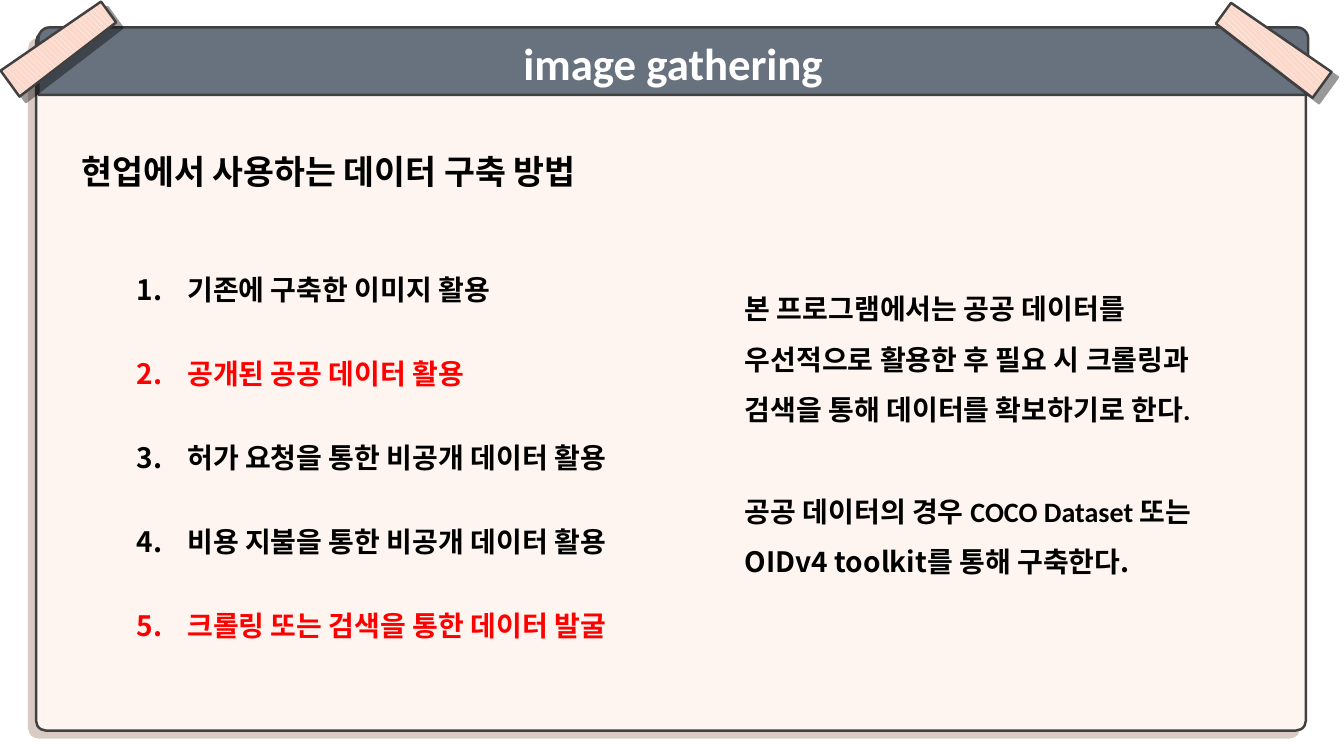
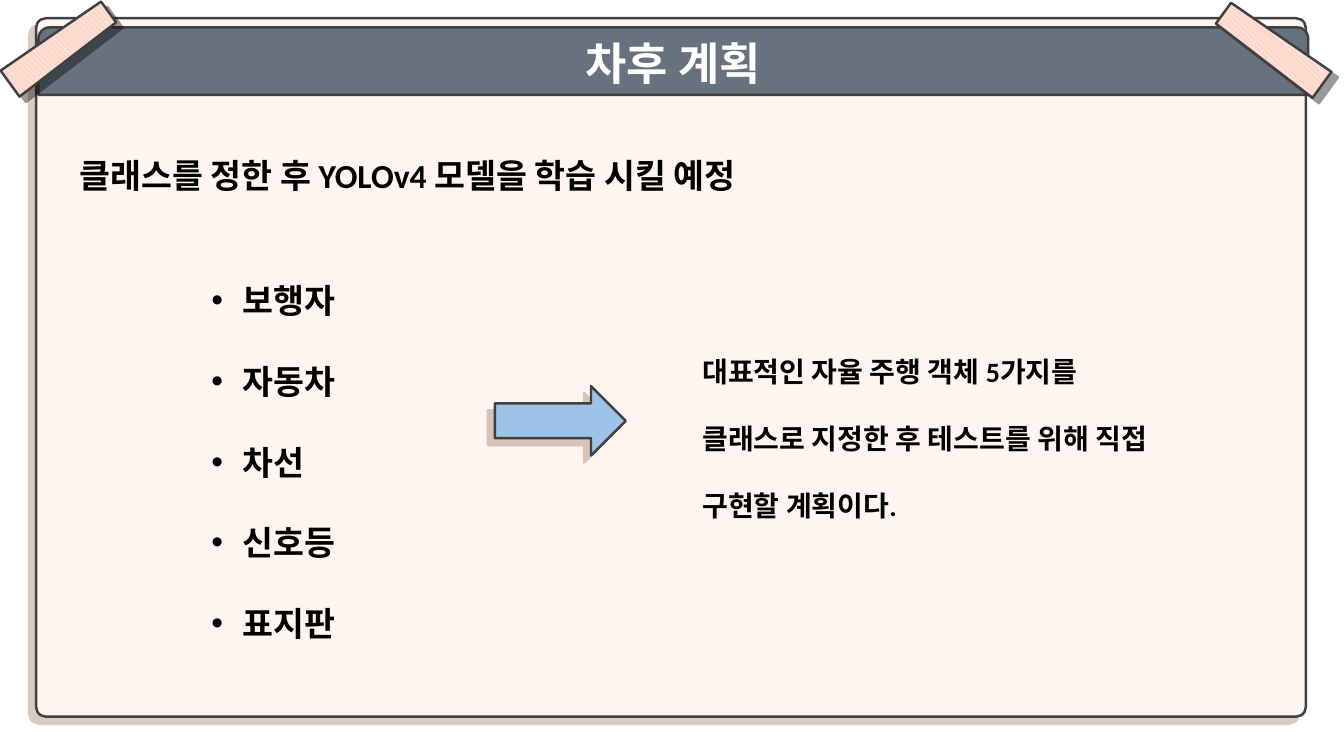
from pptx import Presentation
from pptx import util as u
from pptx.dml.color import RGBColor
from pptx.enum import dml, shapes, text
from pptx.oxml import parse_xml
from pptx.oxml.ns import nsdecls

CREAM = RGBColor(0xFE, 0xF5, 0xF0)
SLATE = RGBColor(0x68, 0x72, 0x7E)
OUTLINE = RGBColor(0x40, 0x40, 0x40)
PEACH = RGBColor(0xFC, 0xD8, 0xCA)
SKY = RGBColor(0x9D, 0xC3, 0xE6)
WHITE = RGBColor(0xFF, 0xFF, 0xFF)
BLACK = RGBColor(0, 0, 0)
RED = RGBColor(0xFF, 0, 0)
BROWN = RGBColor(0x62, 0x27, 0x06)
LATIN = "Calibri"
KOREAN = "Noto Sans CJK KR"
NUMBERS = '<a:buFont {ns} typeface="+mj-lt"/>', '<a:buAutoNum {ns} type="arabicPeriod"/>'
DOTS = '<a:buFont {ns} typeface="Arial"/>', '<a:buChar {ns} char="•"/>'


def cast_shadow(shape, color, opacity, distance, angle):
    """Give a shape a hard offset shadow."""
    shape.shadow.inherit = False
    effects = shape._element.spPr.find("{http://schemas.openxmlformats.org/drawingml/2006/main}effectLst")
    effects.append(parse_xml(
        f'<a:outerShdw {nsdecls("a")} blurRad="0" dist="{u.Pt(distance)}" dir="{angle * 60000}"'
        f' algn="ctr" rotWithShape="0"><a:srgbClr val="{color}"><a:alpha val="{opacity * 1000}"/>'
        '</a:srgbClr></a:outerShdw>'))


def add_outlined(slide, kind, box, fill=None):
    """Add a dark-outlined preset shape in a box given in centimetres."""
    shape = slide.shapes.add_shape(kind, *map(u.Cm, box))
    shape.shadow.inherit = False
    shape.line.color.rgb = OUTLINE
    shape.line.width = u.Pt(1.75)
    if fill is not None:
        shape.fill.solid()
        shape.fill.fore_color.rgb = fill
    return shape


def style_run(run, size, color=BLACK, font=LATIN):
    """Format a run in bold with the given size, colour and font."""
    run.font.size = u.Pt(size)
    run.font.bold = True
    run.font.name = font
    run.font.color.rgb = color


def add_tape(slide, left, top, angle):
    """Stick a striped piece of tape on a corner."""
    tape = add_outlined(slide, shapes.MSO_SHAPE.TRAPEZOID, (left, top, 0.81, 3.07))
    tape.adjustments[0] = 0.1
    tape.rotation = angle
    tape.fill.patterned()
    tape.fill.pattern = dml.MSO_PATTERN.WIDE_DOWNWARD_DIAGONAL
    tape.fill.fore_color.rgb = WHITE
    tape.fill.back_color.rgb = PEACH
    cast_shadow(tape, BLACK, 40, 6, 40)


def add_board(prs, title, title_font, panel_top):
    """Add a slide with its panel, title band and two tapes."""
    slide = prs.slides.add_slide(prs.slide_layouts[6])
    panel = add_outlined(slide, shapes.MSO_SHAPE.ROUNDED_RECTANGLE,
                         (0.91, panel_top, 32, 17.6), CREAM)
    panel.adjustments[0] = 0.014
    cast_shadow(panel, BROWN, 23, 7, 135)
    band = add_outlined(slide, shapes.MSO_SHAPE.ROUND_2_SAME_RECTANGLE,
                        (0.97, 0.69, 32, 1.7), SLATE)
    band.text_frame.text = title
    band.text_frame.vertical_anchor = text.MSO_ANCHOR.MIDDLE
    heading = band.text_frame.paragraphs[0]
    heading.alignment = text.PP_ALIGN.CENTER
    style_run(heading.runs[0], 32, WHITE, title_font)
    add_tape(slide, 1.09, -0.33, 54)
    add_tape(slide, 31.67, -0.3, 306)
    return slide


def add_text(slide, box, lines, size, spacing, gap=0, bullet=(), indent=0, red=()):
    """Write paragraphs in a box, with optional bullets and red lines."""
    frame = slide.shapes.add_textbox(*map(u.Cm, box)).text_frame
    frame.word_wrap = True
    frame.auto_size = text.MSO_AUTO_SIZE.SHAPE_TO_FIT_TEXT
    frame.text = "\n".join(lines)
    for index, paragraph in enumerate(frame.paragraphs):
        paragraph.line_spacing = spacing
        if gap and index:
            paragraph.space_before = u.Pt(gap)
        if bullet:
            properties = paragraph._p.get_or_add_pPr()
            properties.set("marL", str(u.Cm(indent)))
            properties.set("indent", str(-u.Cm(indent)))
            for mark in bullet:
                properties.append(parse_xml(mark.format(ns=nsdecls("a"))))
        for run in paragraph.runs:
            style_run(run, size, RED if index in red else BLACK)
    return frame


def build_gathering(prs):
    """Build the slide on ways to gather images."""
    slide = add_board(prs, "image gathering", LATIN, 0.81)
    add_text(slide, (1.8, 3.18, 15.2, 1.6), ["현업에서 사용하는 데이터 구축 방법"], 24, 1.5)
    methods = ["기존에 구축한 이미지 활용", "공개된 공공 데이터 활용",
               "허가 요청을 통한 비공개 데이터 활용", "비용 지불을 통한 비공개 데이터 활용",
               "크롤링 또는 검색을 통한 데이터 발굴"]
    add_text(slide, (3.2, 5.46, 15.65, 10.57), methods, 20, 2.5,
             bullet=NUMBERS, indent=1.27, red=(1, 4))
    decision = add_text(slide, (18.52, 6.81, 13.08, 7.8), [
        "본 프로그램에서는 공공 데이터를 우선적으로 활용한 후 필요 시 크롤링과 "
        "검색을 통해 데이터를 확보하기로 한다.",
        "공공 데이터의 경우 COCO Dataset 또는 "], 20, 1.5, gap=36.5)
    toolkit = decision.paragraphs[1].add_run()
    toolkit.text = "OIDv4 toolkit를 통해 구축한다."
    style_run(toolkit, 20, font=KOREAN)


def build_plan(prs):
    """Build the slide on the classes to be trained next."""
    slide = add_board(prs, "차후 계획", KOREAN, 0.46)
    add_text(slide, (1.75, 2.77, 20.45, 1.98),
             ["클래스를 정한 후 YOLOv4 모델을 학습 시킬 예정"], 24, 2)
    add_text(slide, (5.08, 5.92, 6.22, 10.19),
             ["보행자", "자동차", "차선", "신호등", "표지판"], 24, 2, bullet=DOTS, indent=0.79)
    add_text(slide, (17.45, 7.95, 12.65, 5.11), [
        "대표적인 자율 주행 객체 5가지를 클래스로 지정한 후 테스트를 위해 직접 "
        "구현할 계획이다."], 20, 2)
    arrow = add_outlined(slide, shapes.MSO_SHAPE.RIGHT_ARROW, (12.47, 9.73, 3.3, 1.75), SKY)
    cast_shadow(arrow, BROWN, 23, 7, 135)


def main():
    """Build and save the presentation."""
    prs = Presentation()
    prs.slide_width, prs.slide_height = u.Cm(33.87), u.Cm(19.05)
    build_gathering(prs)
    build_plan(prs)
    prs.save("out.pptx")


if __name__ == "__main__":
    main()
